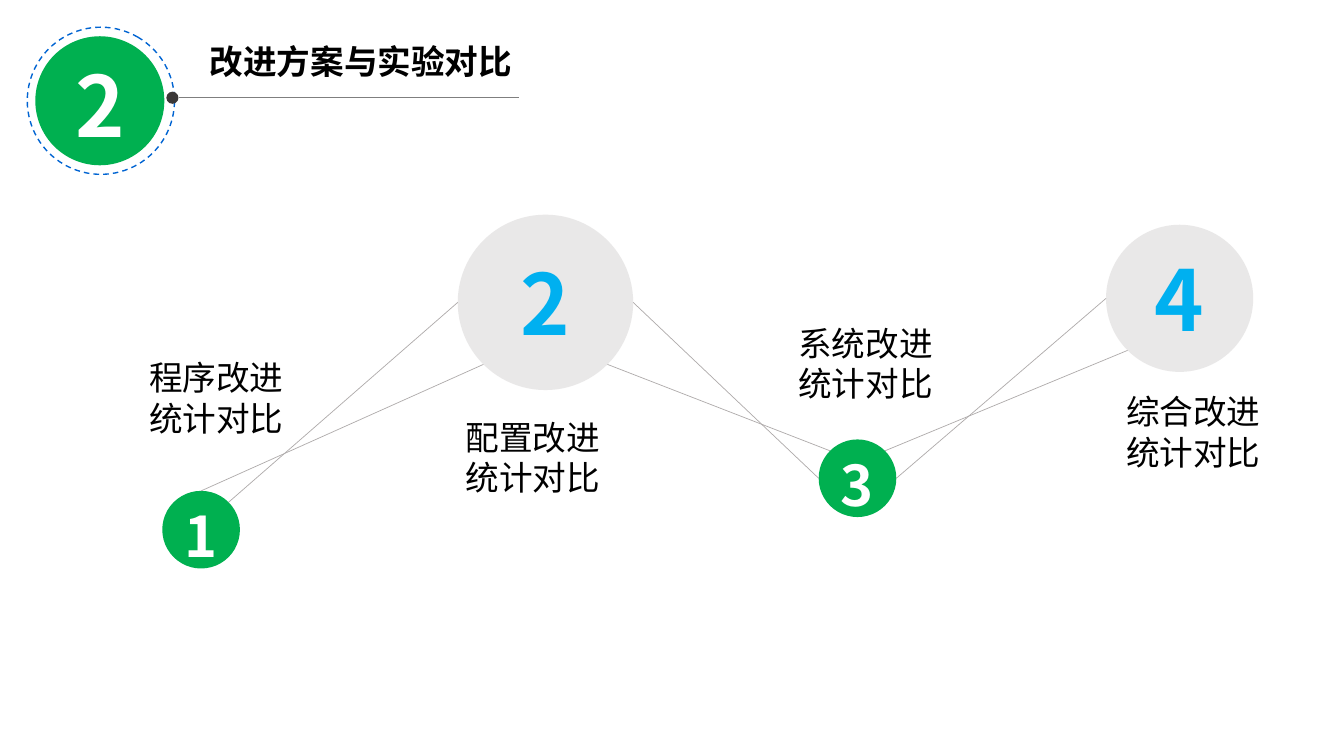
from math import cos, radians, sin

from lxml.etree import SubElement
from pptx import Presentation
from pptx.dml.color import RGBColor
from pptx.enum.dml import MSO_LINE
from pptx.enum.shapes import MSO_CONNECTOR, MSO_SHAPE
from pptx.enum.text import MSO_ANCHOR as Anchor, MSO_AUTO_SIZE as Fit, PP_ALIGN as Align
from pptx.oxml.ns import qn
from pptx.util import Inches, Pt

COLOURS = {
    "green": "00B050", "sky": "00B0F0", "blue": "0064D2", "grey": "D0CECE",
    "link": "AFABAB", "rule": "7F7F7F", "dot": "3B3838",
    "white": "FFFFFF", "black": "000000",
}
FONT = "Noto Sans CJK SC"
CELL = 0.1  # side of one grid cell in inches: 133.33 columns by 75 rows
RIGHT, LOWER_RIGHT, LOWER_LEFT, LEFT, UPPER_LEFT, TOP, UPPER_RIGHT = (
    0, 45, 135, 180, 225, 270, 315)


def grid(*cells):
    """Turn grid cells into slide lengths."""
    return [Inches(cell * CELL) for cell in cells]


def rim(circle, angle):
    """Return the point of a (column, row, size) circle at a clockwise angle."""
    column, row, size = circle
    radius, turn = size / 2, radians(angle)
    return column + radius * (1 + cos(turn)), row + radius * (1 + sin(turn))


class Page:
    """One slide and the style of its elements."""

    def __init__(self, deck):
        """Add a title-only slide to the deck."""
        self.slide = deck.slides.add_slide(deck.slide_layouts[5])
        self.shapes = self.slide.shapes

    def colour(self, name):
        """Look up a named colour."""
        return RGBColor.from_string(COLOURS[name])

    def style(self, para, size, colour, bold=False, spacing=None):
        """Set the font and line spacing of a paragraph."""
        font = para.font
        font.name, font.size, font.bold = FONT, Pt(size), bold
        font.color.rgb = self.colour(colour)
        if spacing:
            para.line_spacing = Pt(spacing)

    def title(self, text, place):
        """Place and format the slide title."""
        box = self.shapes.title
        box.left, box.top, box.width, box.height = grid(*place)
        frame = box.text_frame
        frame.text = text
        frame.auto_size, frame.vertical_anchor = Fit.NONE, Anchor.MIDDLE
        para = frame.paragraphs[0]
        para.alignment = Align.LEFT
        self.style(para, 24, "black", bold=True)

    def circle(self, place, fill=None, opacity=100):
        """Draw a circle, filled or hollow, without outline."""
        column, row, size = place
        shape = self.shapes.add_shape(MSO_SHAPE.OVAL, *grid(column, row, size, size))
        shape.shadow.inherit = False
        shape.line.fill.background()
        if fill is None:
            shape.fill.background()
            return shape
        shape.fill.solid()
        shape.fill.fore_color.rgb = self.colour(fill)
        if opacity < 100:
            tint = shape.fill._xPr.find(".//" + qn("a:srgbClr"))
            SubElement(tint, qn("a:alpha")).set("val", str(opacity * 1000))
        return shape

    def ring(self, place):
        """Draw a dashed ring."""
        shape = self.circle(place)
        shape.rotation = 120
        shape.line.color.rgb = self.colour("blue")
        shape.line.width = Pt(1)
        shape.line.dash_style = MSO_LINE.DASH

    def number(self, place, text, fill, colour, size, spacing, opacity=100):
        """Draw a circle with a bold number in it."""
        frame = self.circle(place, fill, opacity).text_frame
        frame.margin_left = frame.margin_right = 0
        frame.margin_top = frame.margin_bottom = 0
        frame.word_wrap, frame.vertical_anchor = False, Anchor.MIDDLE
        frame.text = text
        para = frame.paragraphs[0]
        para.alignment = Align.CENTER
        self.style(para, size, colour, bold=True, spacing=spacing)

    def line(self, start, end, colour):
        """Draw a hairline between two grid points."""
        line = self.shapes.add_connector(MSO_CONNECTOR.STRAIGHT, *grid(*start, *end))
        line.line.color.rgb = self.colour(colour)
        line.line.width = Pt(0.5)
        SubElement(line._element.spPr, qn("a:effectLst"))

    def label(self, place, lines):
        """Write a label, one paragraph per line."""
        frame = self.shapes.add_textbox(*grid(*place)).text_frame
        frame.word_wrap = True
        frame.text = "\n".join(lines)
        for para in frame.paragraphs:
            self.style(para, 24, "black", spacing=29)


SMALL = {"fill": "green", "colour": "white", "size": 40, "spacing": 56}
LARGE = {"fill": "grey", "colour": "sky", "size": 60, "spacing": 72, "opacity": 46}
BADGE = {"fill": "green", "colour": "white", "size": 60, "spacing": 76}

# Number: circle, style, label topic, label place
STEPS = {
    "1": ((16.1, 48.7, 7.7), SMALL, "程序改进", (13.8, 34.9, 19, 9.1)),
    "2": ((45.4, 21.3, 17.4), LARGE, "配置改进", (45.2, 40.8, 34.1, 9.1)),
    "3": ((81.2, 43.6, 7.7), SMALL, "系统改进", (78.2, 31.5, 21, 9.1)),
    "4": ((109.7, 22.3, 14.6), LARGE, "综合改进", (110.7, 38.3, 19, 9.1)),
}
LINKS = [
    ("1", UPPER_RIGHT, "2", LEFT), ("1", TOP, "2", LOWER_LEFT),
    ("2", RIGHT, "3", LEFT), ("2", LOWER_RIGHT, "3", UPPER_LEFT),
    ("3", UPPER_RIGHT, "4", LOWER_LEFT), ("3", RIGHT, "4", LEFT),
]


def main():
    """Build the slide and save it."""
    deck = Presentation()
    deck.slide_width, deck.slide_height = Inches(13.33), Inches(7.5)
    page = Page(deck)

    page.title("改进方案与实验对比", (19.8, 3.6, 34.5, 5))
    page.ring((2.7, 2.7, 14.6))
    page.circle((16.5, 9.1, 1.2), "dot")
    page.line((17.8, 9.7), (51.5, 9.7), "rule")
    page.number((3.5, 3.6, 12.8), "2", **BADGE)

    for number, (circle, look, topic, place) in STEPS.items():
        page.number(circle, number, **look)
        page.label(place, [topic, "统计对比"])
    for first, leave, second, arrive in LINKS:
        page.line(rim(STEPS[first][0], leave), rim(STEPS[second][0], arrive), "link")

    deck.save("out.pptx")


main()
